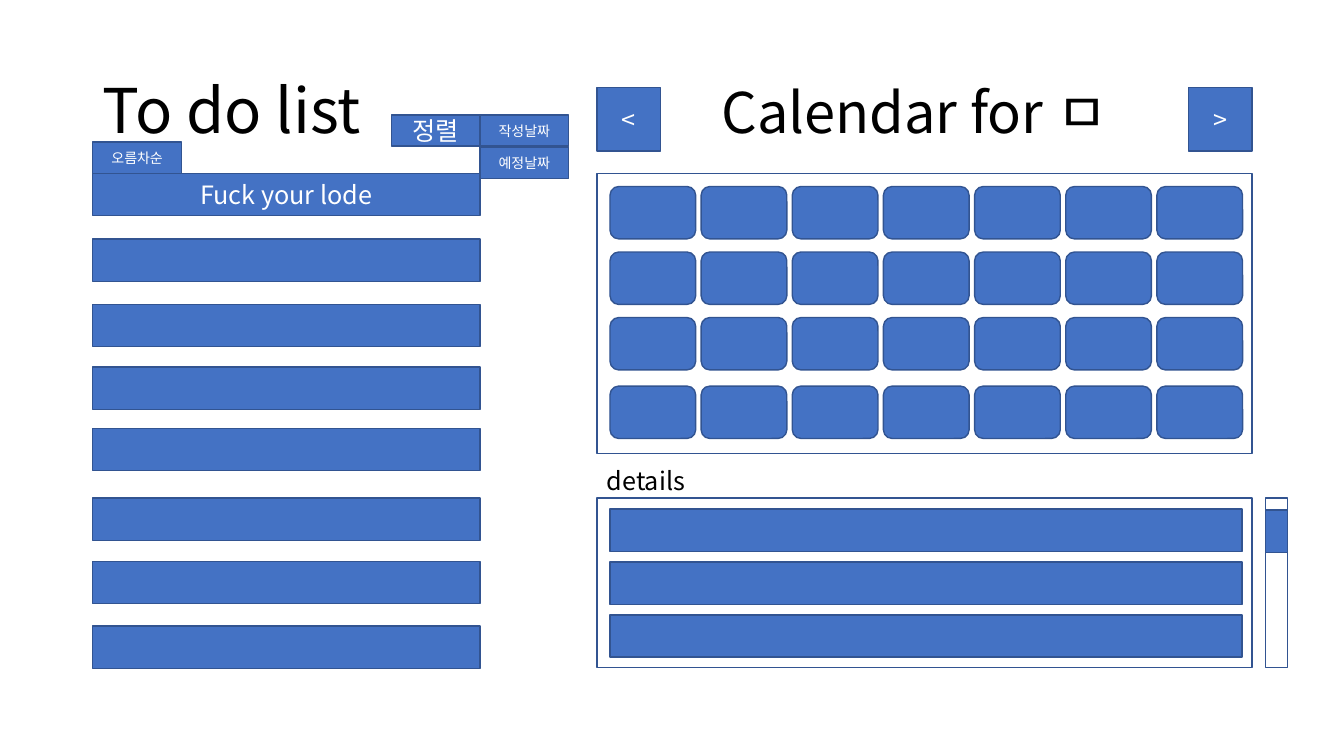
from pptx import Presentation, util as u
from pptx.dml.color import RGBColor
from pptx.enum import shapes, text
from pptx.oxml.ns import qn
from lxml import etree

FONT = "Noto Sans CJK KR"
BLUE, EDGE, WHITE, BLACK = "4472C4", "325491", "FFFFFF", "000000"
RECT = shapes.MSO_SHAPE.RECTANGLE
ROUND = shapes.MSO_SHAPE.ROUNDED_RECTANGLE
LEFT, MID = 0.92, 5.92            # left edges of the two columns
LIST_W, CAL_W = 3.84, 6.5         # widths of the two columns
BAR_H, TAB_W, TAB_H = 0.42, 0.88, 0.31
PAD = 0.13                        # gap between a frame and its content


def color(code):
    return RGBColor.from_string(code)


def inches(*nums):
    return [u.Inches(n) for n in nums]


def write(shape, words, size=18, ink=WHITE, align="CENTER", anchor="MIDDLE", space=None):
    frame = shape.text_frame
    frame.word_wrap = True
    frame.vertical_anchor = getattr(text.MSO_ANCHOR, anchor)
    para = frame.paragraphs[0]
    para.alignment = getattr(text.PP_ALIGN, align)
    if space:
        para.line_spacing = space
    run = para.add_run()
    run.text = words
    font = run.font
    font.name, font.size = FONT, u.Pt(size)
    font.color.rgb = color(ink)
    east = etree.SubElement(run._r.get_or_add_rPr(), qn("a:ea"))
    east.set("typeface", FONT)


def box(slide, x, y, w, h, words="", size=18, fill=BLUE, kind=RECT):
    shape = slide.shapes.add_shape(kind, *inches(x, y, w, h))
    shape.shadow.inherit = False
    if fill:
        shape.fill.solid()
        shape.fill.fore_color.rgb = color(fill)
    else:
        shape.fill.background()
    shape.line.color.rgb = color(EDGE)
    shape.line.width = u.Pt(1)
    if words:
        write(shape, words, size)


def label(slide, x, y, w, h, words, size):
    shape = slide.shapes.add_textbox(*inches(x, y, w, h))
    write(shape, words, size, BLACK, "LEFT", "TOP")


def todo(slide):
    # Title
    title = slide.shapes.title
    title.left, title.top, title.width, title.height = inches(LEFT, 0.4, 3.69, 1.45)
    write(title, "To do list", 44, BLACK, "LEFT", space=0.9)
    title.text_frame.auto_size = text.MSO_AUTO_SIZE.NONE

    # Tasks
    tops = [1.72, 2.37, 3.02, 3.64, 4.25, 4.94, 5.57, 6.21]
    for i, top in enumerate(tops):
        box(slide, LEFT, top, LIST_W, BAR_H, "" if i else "Fuck your lode")

    # Sort menu
    edge = LEFT + LIST_W
    tabs = [(edge - TAB_W, 1.14, "정렬", 18), (edge, 1.14, "작성날짜", 10),
            (edge, 1.46, "예정날짜", 10), (LEFT, 1.41, "오름차순", 10)]
    for x, y, words, size in tabs:
        box(slide, x, y, TAB_W, TAB_H, words, size)


def calendar(slide):
    # Heading with month buttons
    label(slide, 7.06, 0.72, 4.26, 0.77, "Calendar for ㅁ", 40)
    side = 0.63
    for x, sign in ((MID, "<"), (MID + CAL_W - side, ">")):
        box(slide, x, 0.87, side, side, sign)

    # Days: four weeks of seven
    box(slide, MID, 1.72, CAL_W, 2.78, fill=None)
    for top in (1.85, 2.5, 3.15, 3.83):
        for day in range(7):
            box(slide, MID + PAD + day * 0.904, top, 0.85, 0.52, kind=ROUND)


def details(slide):
    top, high = 4.94, 1.68
    label(slide, MID, 4.57, 4.6, 0.4, "details", 18)
    box(slide, MID, top, CAL_W, high, fill=None)
    for row in range(3):
        box(slide, MID + PAD, 5.05 + row * 0.525, 6.27, BAR_H)

    # Scroll bar
    box(slide, 12.55, top, 0.22, high, fill=None)
    box(slide, 12.55, 5.06, 0.22, BAR_H)


def main():
    deck = Presentation()
    deck.slide_width, deck.slide_height = inches(13.33, 7.5)
    slide = deck.slides.add_slide(deck.slide_layouts[5])
    todo(slide)
    calendar(slide)
    details(slide)
    deck.save("out.pptx")


main()
